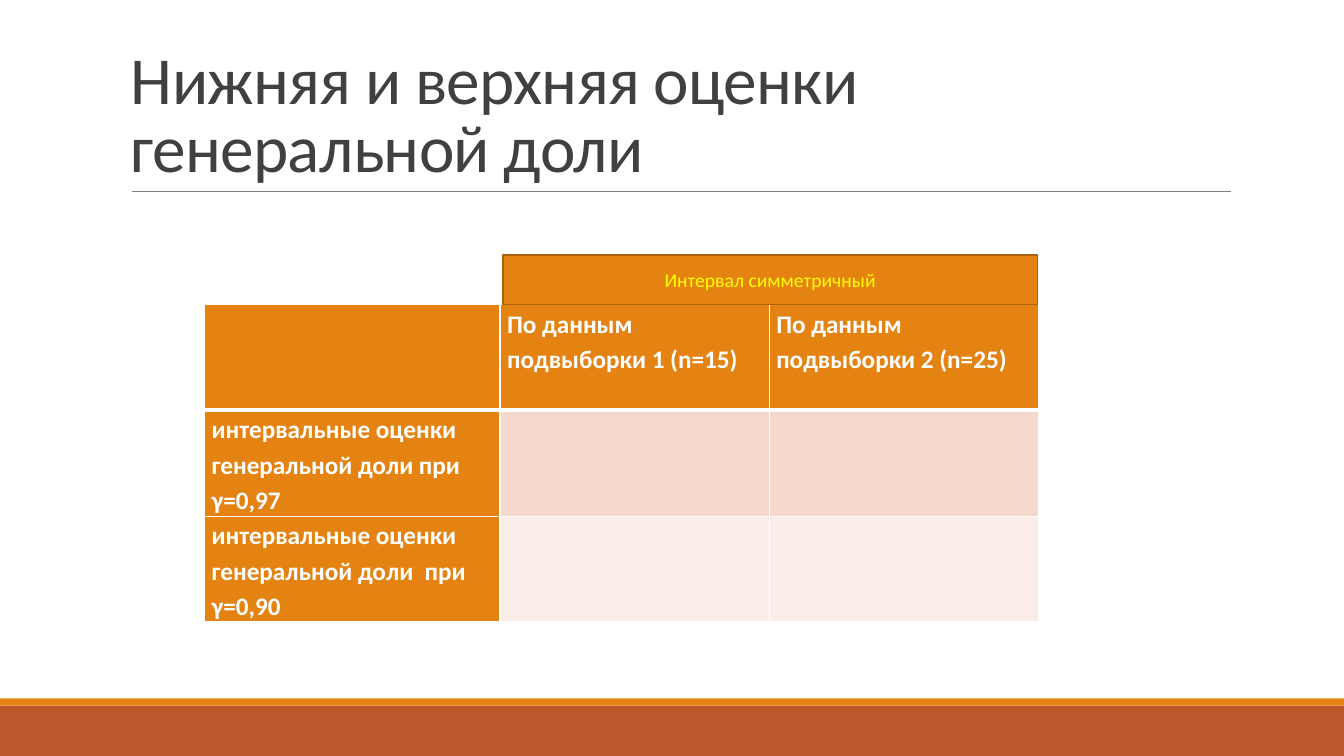
from dataclasses import dataclass

from lxml.etree import SubElement
from pptx import Presentation
from pptx.dml.color import RGBColor
from pptx.enum.shapes import MSO_CONNECTOR as Connector, MSO_SHAPE as Shape
from pptx.enum.text import MSO_ANCHOR as Anchor, PP_ALIGN as Align
from pptx.oxml.ns import qn
from pptx.util import Inches, Pt


@dataclass(frozen=True)
class Theme:
    font: str = "Calibri"
    white: str = "FFFFFF"
    orange: str = "E48312"
    rust: str = "BD582C"
    dark_orange: str = "A9610D"
    yellow: str = "FFFF00"
    title: str = "404040"
    rule: str = "808080"
    bands: tuple = ("F5D9CC", "FAEDE7")
    title_size: int = 48
    table_size: int = 18
    banner_size: int = 14


THEME = Theme()
COLUMN_WIDTHS = (2.93, 2.67, 2.67)
ROW_HEIGHT = 1.05
ROWS = (
    ("", "По данным подвыборки 1 (n=15)", "По данным подвыборки 2 (n=25)"),
    ("интервальные оценки генеральной доли при γ=0,97", "", ""),
    ("интервальные оценки генеральной доли  при γ=0,90", "", ""),
)


def color(value):
    return RGBColor.from_string(value)


def write(text_frame, text, size, text_color, bold=False, spacing=1.0):
    text_frame.text = text
    paragraph = text_frame.paragraphs[0]
    paragraph.line_spacing = spacing
    paragraph.font.size = Pt(size)
    for run in paragraph.runs:
        run.font.name = THEME.font
        run.font.size = Pt(size)
        run.font.bold = bold
        run.font.color.rgb = color(text_color)
    return paragraph


def add_rectangle(slide, left, top, width, height, fill, line=None):
    shape = slide.shapes.add_shape(
        Shape.RECTANGLE, Inches(left), Inches(top), Inches(width), Inches(height)
    )
    shape.shadow.inherit = False
    shape.fill.solid()
    shape.fill.fore_color.rgb = color(fill)
    if line:
        shape.line.color.rgb = color(line)
        shape.line.width = Pt(1.25)
    else:
        shape.line.fill.background()
    return shape


def add_rule(slide, left, right, top):
    rule = slide.shapes.add_connector(
        Connector.STRAIGHT, Inches(left), Inches(top), Inches(right), Inches(top)
    )
    rule.line.color.rgb = color(THEME.rule)
    rule.line.width = Pt(0.5)
    SubElement(rule._element.spPr, qn("a:effectLst"))


def add_title(slide, text):
    box = slide.shapes.add_textbox(Inches(1.2), Inches(0.31), Inches(11), Inches(1.59))
    text_frame = box.text_frame
    text_frame.word_wrap = True
    text_frame.vertical_anchor = Anchor.BOTTOM
    paragraph = write(text_frame, text, THEME.title_size, THEME.title, spacing=0.85)
    for run in paragraph.runs:
        run.font._element.set("spc", "-50")


def add_banner(slide, text):
    banner = add_rectangle(
        slide, 4.99, 2.53, 5.3, 0.49, THEME.orange, THEME.dark_orange
    )
    banner.text_frame.word_wrap = True
    banner.text_frame.vertical_anchor = Anchor.MIDDLE
    paragraph = write(banner.text_frame, text, THEME.banner_size, THEME.yellow)
    paragraph.alignment = Align.CENTER


def set_borders(cell, bottom_width):
    properties = cell._tc.get_or_add_tcPr()
    widths = {"a:lnL": 1, "a:lnR": 1, "a:lnT": 1, "a:lnB": bottom_width}
    for position, (tag, width) in enumerate(widths.items()):
        border = SubElement(properties, qn(tag), w=str(Pt(width)))
        fill = SubElement(border, qn("a:solidFill"))
        SubElement(fill, qn("a:srgbClr"), val=THEME.white)
        properties.insert(position, border)


def add_estimates_table(slide):
    table = slide.shapes.add_table(
        len(ROWS), len(COLUMN_WIDTHS), Inches(2.03), Inches(3.02),
        Inches(sum(COLUMN_WIDTHS)), Inches(ROW_HEIGHT * len(ROWS)),
    ).table
    table.first_col = True
    for column, width in zip(table.columns, COLUMN_WIDTHS):
        column.width = Inches(width)
    for row_index, texts in enumerate(ROWS):
        table.rows[row_index].height = Inches(ROW_HEIGHT)
        for column_index, text in enumerate(texts):
            cell = table.cell(row_index, column_index)
            is_heading = row_index == 0 or column_index == 0
            fill = THEME.orange if is_heading else THEME.bands[row_index - 1]
            cell.fill.solid()
            cell.fill.fore_color.rgb = color(fill)
            cell.margin_left = cell.margin_right = Inches(0.07)
            cell.margin_top = cell.margin_bottom = 0
            write(cell.text_frame, text, THEME.table_size, THEME.white, True, 1.15)
            set_borders(cell, 3 if row_index == 0 else 1)


def main():
    presentation = Presentation()
    presentation.slide_width = Inches(13.33)
    presentation.slide_height = Inches(7.5)
    slide = presentation.slides.add_slide(presentation.slide_layouts[6])
    add_rectangle(slide, 0, 7, 13.33, 0.5, THEME.rust)
    add_rectangle(slide, 0, 6.93, 13.33, 0.07, THEME.orange)
    add_rule(slide, 1.31, 12.21, 1.9)
    add_title(slide, "Нижняя и верхняя оценки генеральной доли")
    add_estimates_table(slide)
    add_banner(slide, "Интервал симметричный")
    presentation.save("out.pptx")


if __name__ == "__main__":
    main()
